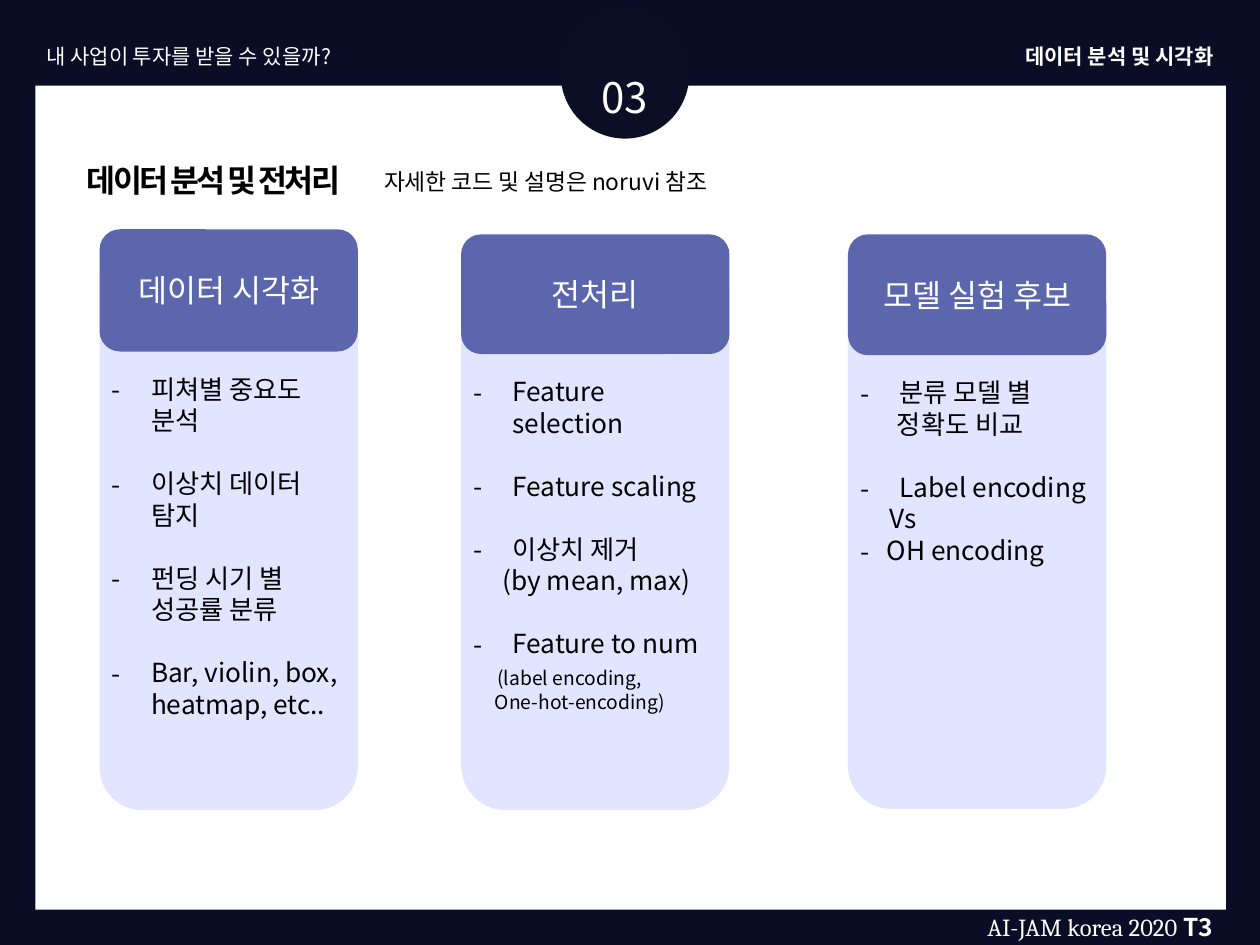
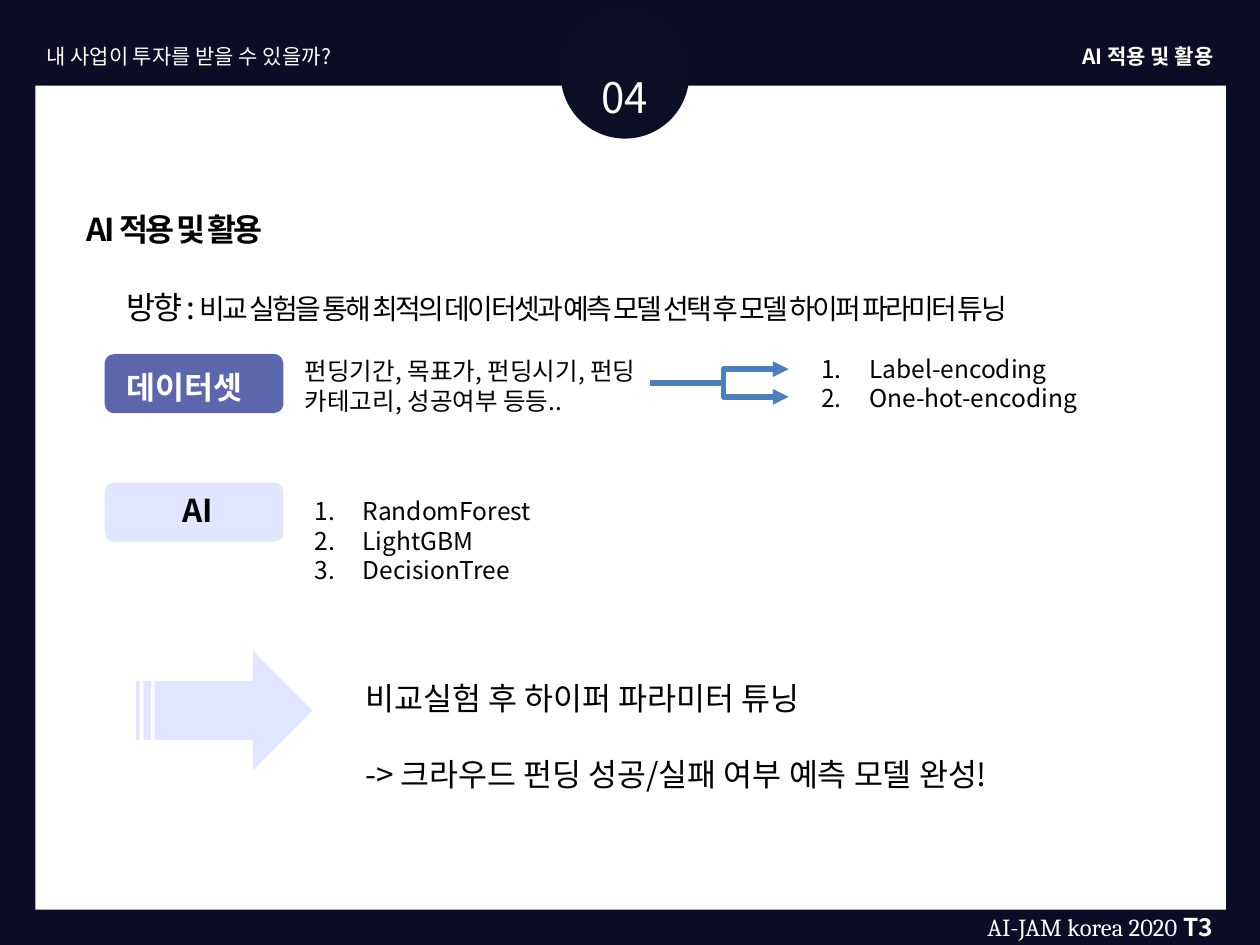
from dataclasses import dataclass
from typing import Any

import lxml.etree
import pptx
import pptx.dml.color
import pptx.enum.shapes
import pptx.enum.text
import pptx.oxml.ns
import pptx.util

Inches = pptx.util.Inches
Pt = pptx.util.Pt
RGBColor = pptx.dml.color.RGBColor
Shape = pptx.enum.shapes.MSO_SHAPE
Align = pptx.enum.text.PP_ALIGN
Anchor = pptx.enum.text.MSO_ANCHOR

NAVY = RGBColor(0x0B, 0x0C, 0x25)
BADGE_NAVY = RGBColor(0x0C, 0x0E, 0x25)
WHITE = RGBColor(0xFF, 0xFF, 0xFF)
BLACK = RGBColor(0x00, 0x00, 0x00)
LAVENDER = RGBColor(0xE2, 0xE5, 0xFF)
INDIGO = RGBColor(0x5C, 0x66, 0xAD)
ARROW_BLUE = RGBColor(0x4B, 0x7E, 0xBC)
SANS = "Noto Sans CJK KR"
SERIF = "Cambria"
TIGHT = -1.5
BULLET_GAP = 18
TITLE_ONLY = 5


@dataclass(frozen=True)
class Box:
    left: float
    top: float
    width: float
    height: float

    def lengths(self) -> tuple[int, ...]:
        return tuple(Inches(v) for v in (self.left, self.top, self.width, self.height))


@dataclass(frozen=True)
class Span:
    text: str
    size: float | None = None
    bold: bool = False
    font: str = SANS


@dataclass(frozen=True)
class Line:
    content: str | tuple[Span, ...]
    bullet: str = ""
    indent: float = 0
    before: float = 0
    size: float | None = None


@dataclass(frozen=True)
class Column:
    heading: str
    card: Box
    header: Box
    body: Box
    lines: tuple[Line, ...]


@dataclass(frozen=True)
class Chapter:
    number: str
    header: str
    header_width: float
    title: str
    title_top: float


def dash(text: str, before: float = BULLET_GAP, indent: float = 0.31) -> Line:
    return Line(text, "-", indent, before)


def numbered(*names: str) -> tuple[Line, ...]:
    return tuple(Line(name, "1.", 0.38) for name in names)


COLUMNS = (
    Column(
        "데이터 시각화",
        Box(0.79, 1.88, 2.05, 4.55),
        Box(0.79, 1.82, 2.05, 0.97),
        Box(0.79, 2.91, 2.05, 2.88),
        (
            dash("피쳐별 중요도 분석", 0),
            dash("이상치 데이터 탐지"),
            dash("펀딩 시기 별 성공률 분류"),
            dash("Bar, violin, box, heatmap, etc.."),
        ),
    ),
    Column(
        "전처리",
        Box(3.66, 1.97, 2.13, 4.46),
        Box(3.66, 1.86, 2.13, 0.95),
        Box(3.66, 2.93, 2.13, 2.93),
        (
            dash("Feature selection", 0),
            dash("Feature scaling"),
            dash("이상치 제거"),
            Line("(by mean, max)", indent=0.23),
            dash("Feature to num"),
            Line("(label encoding,", indent=0.19, before=4, size=11),
            Line("One-hot-encoding)", indent=0.17, before=1, size=11),
        ),
    ),
    Column(
        "모델 실험 후보",
        Box(6.73, 1.92, 2.05, 4.5),
        Box(6.73, 1.86, 2.05, 0.96),
        Box(6.73, 2.94, 2.05, 2.31),
        (
            dash("분류 모델 별", 0),
            Line("정확도 비교", indent=0.29),
            dash("Label encoding"),
            Line("Vs", indent=0.23),
            dash("OH encoding", 0, 0.21),
        ),
    ),
)


def add_element(parent: Any, tag: str, **attributes: str) -> Any:
    return lxml.etree.SubElement(parent, pptx.oxml.ns.qn(tag), **attributes)


def write_text(
    frame: Any,
    *lines: str | Line,
    size: float,
    color: RGBColor = BLACK,
    bold: bool = False,
    align: Any = Align.LEFT,
    anchor: Any = Anchor.TOP,
    spacing: float = 0,
    line_spacing: float | None = None,
) -> None:
    frame.word_wrap = True
    frame.auto_size = pptx.enum.text.MSO_AUTO_SIZE.NONE
    frame.vertical_anchor = anchor
    for index, entry in enumerate(lines):
        line = Line(entry) if isinstance(entry, str) else entry
        para = frame.add_paragraph() if index else frame.paragraphs[0]
        para.alignment = align
        para.space_before = Pt(line.before)
        if line_spacing:
            para.line_spacing = line_spacing
        properties = para._p.get_or_add_pPr()
        properties.set("marL", str(Inches(line.indent)))
        properties.set("indent", str(-Inches(line.indent) if line.bullet else 0))
        if line.bullet == "1.":
            add_element(properties, "a:buAutoNum", type="arabicPeriod")
        elif line.bullet:
            add_element(properties, "a:buFont", typeface=SANS)
            add_element(properties, "a:buChar", char=line.bullet)
        content = line.content
        spans = (Span(content, line.size, bold),) if isinstance(content, str) else content
        for span in spans:
            run = para.add_run()
            run.text = span.text
            run.font.size = Pt(span.size or size)
            run.font.bold = span.bold
            run.font.color.rgb = color
            run.font.name = span.font
            run_properties = run._r.get_or_add_rPr()
            add_element(run_properties, "a:ea", typeface=span.font)
            if spacing:
                run_properties.set("spc", str(int(spacing * 100)))


def add_text(shapes: Any, box: Box, *lines: str | Line, **text_format: Any) -> None:
    write_text(shapes.add_textbox(*box.lengths()).text_frame, *lines, **text_format)


def add_filled(shapes: Any, kind: Any, box: Box, color: RGBColor) -> Any:
    shape = shapes.add_shape(kind, *box.lengths())
    shape.shadow.inherit = False
    shape.fill.solid()
    shape.fill.fore_color.rgb = color
    shape.line.fill.background()
    return shape


def add_elbow_arrow(shapes: Any, start: tuple[float, float], end: tuple[float, float]) -> None:
    arrow = shapes.add_connector(
        pptx.enum.shapes.MSO_CONNECTOR.ELBOW, *(Inches(v) for v in start + end)
    )
    arrow.line.color.rgb = ARROW_BLUE
    arrow.line.width = Pt(3)
    add_element(arrow.line._get_or_add_ln(), "a:tailEnd", type="triangle")
    properties = arrow._element.spPr
    add_element(properties, "a:effectLst")
    adjustments = properties.find(".//" + pptx.oxml.ns.qn("a:avLst"))
    if adjustments is None:
        adjustments = add_element(properties.find(pptx.oxml.ns.qn("a:prstGeom")), "a:avLst")
    add_element(adjustments, "a:gd", name="adj1", fmla="val 52900")


def add_page(deck: Any, chapter: Chapter) -> Any:
    page = deck.slides.add_slide(deck.slide_layouts[TITLE_ONLY])
    shapes = page.shapes
    add_filled(shapes, Shape.RECTANGLE, Box(0.28, 0.68, 9.45, 6.54), WHITE)
    add_filled(shapes, Shape.OVAL, Box(4.45, 0.08, 1.02, 1.02), BADGE_NAVY)
    add_text(
        shapes, Box(4.37, 0.52, 1.18, 0.5), chapter.number,
        size=24, color=WHITE, align=Align.CENTER,
    )
    title = shapes.title
    title.left, title.top, title.width, title.height = Box(
        0.59, chapter.title_top, 7.4, 0.4
    ).lengths()
    write_text(title.text_frame, chapter.title, size=18, bold=True, spacing=TIGHT)
    shapes._spTree.append(title._element)
    add_text(
        shapes, Box(0.27, 0.3, 3.49, 0.3), "내 사업이 투자를 받을 수 있을까?",
        size=12, color=WHITE,
    )
    add_text(
        shapes, Box(9.73 - chapter.header_width, 0.3, chapter.header_width, 0.3),
        chapter.header, size=12, color=WHITE, bold=True, align=Align.RIGHT,
    )
    footer = (Span("AI-JAM korea 2020", font=SERIF), Span(" ", 16, font=SERIF), Span("T3", bold=True))
    add_text(
        shapes, Box(6.97, 7.16, 2.76, 0.34), Line(footer),
        size=14, color=WHITE, align=Align.RIGHT,
    )
    return page


def add_column(page: Any, column: Column) -> None:
    shapes = page.shapes.add_group_shape().shapes
    add_filled(shapes, Shape.ROUNDED_RECTANGLE, column.card, LAVENDER)
    header = add_filled(shapes, Shape.ROUNDED_RECTANGLE, column.header, INDIGO)
    write_text(
        header.text_frame, column.heading,
        size=18, color=WHITE, align=Align.CENTER, anchor=Anchor.MIDDLE,
    )
    add_text(shapes, column.body, *column.lines, size=15)


def build_analysis(deck: Any) -> None:
    page = add_page(
        deck, Chapter("03", "데이터 분석 및 시각화", 1.9, "데이터 분석 및 전처리", 1.23)
    )
    for column in COLUMNS:
        add_column(page, column)
    add_text(
        page.shapes, Box(2.95, 1.28, 5.47, 0.32), "자세한 코드 및 설명은 noruvi 참조", size=13
    )


def build_application(deck: Any) -> None:
    page = add_page(deck, Chapter("04", "AI 적용 및 활용", 1.39, "AI 적용 및 활용", 1.62))
    shapes = page.shapes
    direction = (
        Span("방향 : "),
        Span("비교 실험을 통해 최적의 데이터셋과 예측 모델 선택 후 모델 하이퍼 파라미터 튜닝", 16),
    )
    add_text(
        shapes, Box(0.91, 1.94, 8.5, 0.61), Line(direction),
        size=18, spacing=TIGHT, line_spacing=2.0,
    )
    for top, color in ((2.81, INDIGO), (3.83, LAVENDER)):
        add_filled(shapes, Shape.ROUNDED_RECTANGLE, Box(0.83, top, 1.42, 0.47), color)
    add_text(shapes, Box(0.91, 2.87, 1.34, 0.4), "데이터셋", size=18, color=WHITE, bold=True)
    add_text(shapes, Box(1.06, 3.85, 1.02, 0.4), "AI", size=18, bold=True, align=Align.CENTER)
    add_text(
        shapes, Box(2.32, 2.78, 2.84, 0.57),
        "펀딩기간, 목표가, 펀딩시기, 펀딩 카테고리, 성공여부 등등..", size=14,
    )
    branches = shapes.add_group_shape().shapes
    for end_top in (2.93, 3.15):
        add_elbow_arrow(branches, (5.16, 3.04), (6.26, end_top))
    encodings = numbered("Label-encoding", "One-hot-encoding")
    add_text(shapes, Box(6.42, 2.76, 2.36, 0.81), *encodings, size=14)
    models = numbered("RandomForest", "LightGBM", "DecisionTree")
    add_text(shapes, Box(2.4, 3.89, 5.35, 0.81), *models, size=14)
    add_filled(shapes, Shape.STRIPED_RIGHT_ARROW, Box(1.08, 5.17, 1.4, 0.94), LAVENDER)
    add_text(
        shapes, Box(2.8, 5.34, 5.75, 1.01),
        "비교실험 후 하이퍼 파라미터 튜닝",
        Line("-> 크라우드 펀딩 성공/실패 여부 예측 모델 완성!", before=22),
        size=18,
    )


def main() -> None:
    deck = pptx.Presentation()
    deck.slide_width, deck.slide_height = Inches(10), Inches(7.5)
    backdrop = deck.slide_master.background.fill
    backdrop.solid()
    backdrop.fore_color.rgb = NAVY
    build_analysis(deck)
    build_application(deck)
    deck.save("out.pptx")


if __name__ == "__main__":
    main()
